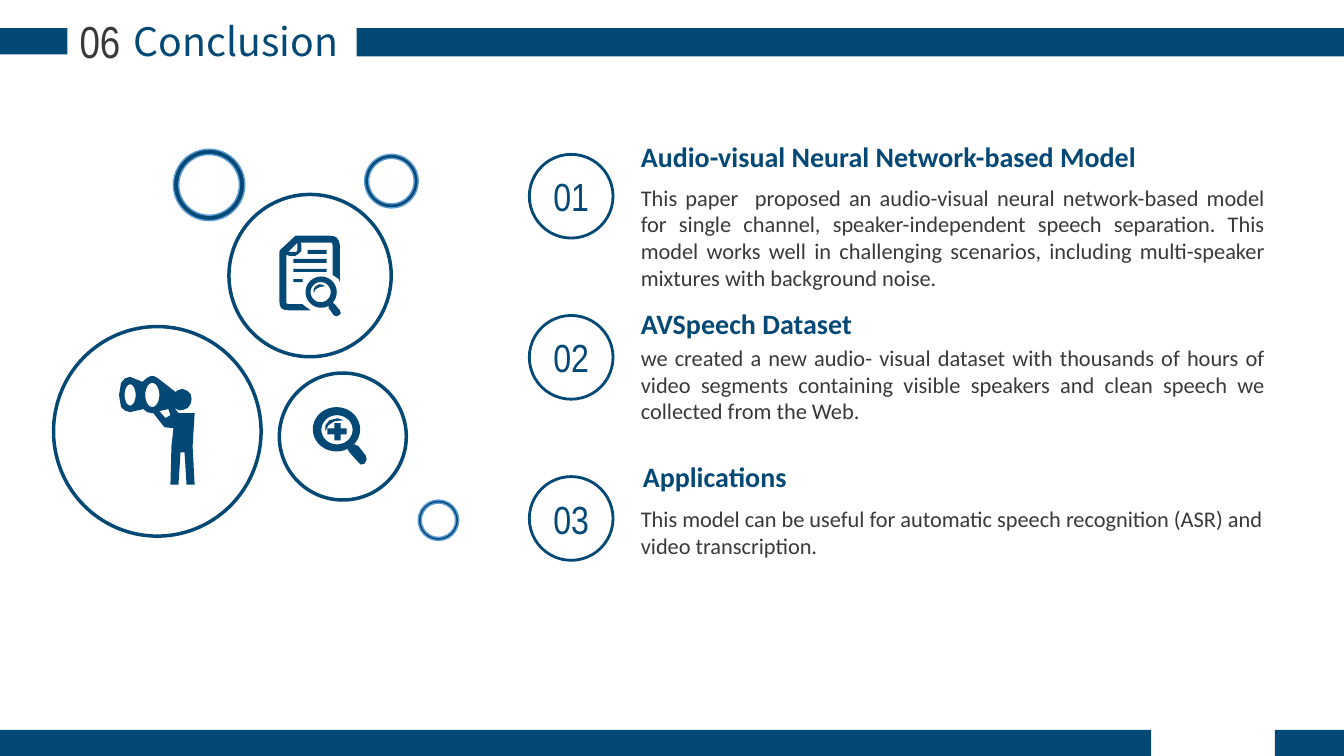
from dataclasses import dataclass
from math import cos, pi, sin

from pptx import Presentation
from pptx.dml.color import RGBColor
from pptx.enum.shapes import MSO_SHAPE as Shape
from pptx.enum.text import MSO_ANCHOR as Anchor, MSO_AUTO_SIZE as AutoSize, PP_ALIGN as Align
from pptx.util import Cm, Pt

NAVY = RGBColor(0x04, 0x48, 0x75)
SKY = RGBColor(0x5B, 0x9B, 0xD5)
GREY = RGBColor(0x3B, 0x38, 0x38)

TITLE = dict(size=Pt(28), name="Noto Sans CJK SC", bold=False)
SECTION = dict(size=Pt(32), name="Arial Narrow")
NUMBER = dict(size=Pt(28), name="Arial Narrow")
HEADING = dict(size=Pt(20), name="Calibri", bold=True)
BODY = dict(size=Pt(16), name="Calibri")

Points = list[tuple[float, float]]


@dataclass
class Box:
    left: float
    top: float
    width: float
    height: float

    def place(self) -> tuple:
        return Cm(self.left), Cm(self.top), Cm(self.width), Cm(self.height)


@dataclass
class Item:
    heading: str
    heading_box: Box
    body: str
    body_box: Box
    align: Align


@dataclass
class Icon:
    """Outlines in hundredths of 2.54 cm, measured from the icon's corner."""
    ring: Box
    left: float
    top: float
    outlines: list[Points]


def ellipse(cx: float, cy: float, rx: float, ry: float, steps: int = 36) -> Points:
    angles = [2 * pi * i / steps for i in range(steps)]
    return [(cx + rx * cos(a), cy + ry * sin(a)) for a in angles]


def rect(x1: float, y1: float, x2: float, y2: float) -> Points:
    return [(x1, y1), (x2, y1), (x2, y2), (x1, y2)]


BARS = [Box(0, 0.71, 1.7, 0.66), Box(8.99, 0.71, 24.88, 0.71),
        Box(32.13, 18.39, 1.74, 0.66), Box(0, 18.39, 29.01, 0.66)]
DONUTS = [Box(4.37, 3.76, 1.8, 1.8), Box(9.19, 3.89, 1.35, 1.35), Box(10.54, 12.6, 1.02, 1.02)]

WATCHER = [
    [(32, 0), (28, 2), (23, 6), (11, 1), (6, 2.5), (2, 7), (0, 19), (2, 31), (6, 34.5),
     (11, 36), (24, 33), (28, 36), (32, 37), (34, 37), (45, 51), (54, 52), (52, 70),
     (51, 108), (59, 108), (61, 76), (65, 76), (67, 108), (75, 108), (73, 70), (75, 37),
     (59, 37), (55, 32), (59, 34), (63, 34), (68, 32), (71, 28), (72, 23), (71, 18),
     (68, 15), (63, 13), (59, 14), (56, 16), (38, 2), (35, 0.5)],
    [(51, 39), (46, 42), (40, 35), (49, 33)],
    ellipse(11, 19, 5.5, 10.5),
    ellipse(33, 19, 7, 12),
]
DOCUMENT = [
    [(18, 0), (50, 0), (54, 0.5), (57, 2), (59, 5), (60, 9), (60, 46), (59, 43), (53, 39),
     (53, 9), (52, 7), (50, 7), (21, 7), (22, 9), (22, 15), (19, 18), (16, 20), (10, 20),
     (7, 19), (7, 65), (7, 67), (9, 68), (23, 68), (24, 69), (31, 74), (9, 74), (5, 73.5),
     (2, 72), (0.5, 69), (0, 65), (0, 16), (1, 14), (15, 1), (16, 0)],
    [(18, 7), (9, 16), (14, 16), (17, 16), (18, 14), (18, 12)],
    rect(14, 43, 23, 46), rect(14, 33, 47, 36), rect(14, 23, 47, 27), rect(28, 14, 47, 18),
    ellipse(41.5, 56, 15.5, 15.5),
    ellipse(41, 56, 10, 10),
    [(34, 57), (36, 53), (40, 51), (46, 50), (40, 48), (36, 50), (34, 53)],
    [(49, 70), (49, 72), (54, 79), (57, 80), (59, 79), (61, 77), (60, 74), (55, 68), (53, 66.5)],
]
MAGNIFIER = [
    ellipse(24, 22, 23.5, 22),
    ellipse(24.5, 22.5, 15.5, 14.5),
    [(22, 33), (28, 33), (28, 27), (34, 27), (34, 21), (28, 21),
     (28, 16), (22, 16), (22, 21), (15, 21), (15, 27), (22, 27)],
    [(13, 24), (16, 18), (22, 14), (31, 13), (25, 11), (17, 13), (13, 18)],
    [(42, 37), (46, 39), (53, 48), (54, 52), (52, 56), (48, 57), (45, 54), (37, 45), (35, 42)],
]
ICONS = [Icon(Box(1.35, 8.23, 5.23, 5.28), 3, 9.47, WATCHER),
         Icon(Box(5.77, 4.9, 4.09, 4.09), 7.04, 5.94, DOCUMENT),
         Icon(Box(7.04, 9.4, 3.2, 3.2), 7.87, 10.26, MAGNIFIER)]

ITEMS = [
    Item("Audio-visual Neural Network-based Model", Box(15.9, 3.4, 13.82, 1.12),
         "This paper  proposed an audio-visual neural network-based model for single channel, "
         "speaker-independent speech separation. This model works well in challenging scenarios, "
         "including multi-speaker mixtures with background noise.",
         Box(15.9, 4.52, 16.23, 2.97), Align.JUSTIFY),
    Item("AVSpeech Dataset", Box(15.9, 7.59, 8.36, 1.12),
         "we created a new audio- visual dataset with thousands of hours of video segments "
         "containing visible speakers and clean speech we collected from the Web.",
         Box(15.9, 8.56, 16.23, 2.29), Align.JUSTIFY),
    Item("Applications", Box(15.95, 11.46, 8.64, 1.12),
         "This model can be useful for automatic speech recognition (ASR) and video transcription.",
         Box(15.9, 12.62, 16.81, 1.6), Align.LEFT),
]
NUMBER_TOP, NUMBER_PITCH = 3.89, 4.06


def write(shape, text: str, font: dict, color: RGBColor, align: Align = Align.LEFT,
          frame: dict | None = None, spacing: Pt | None = None) -> None:
    tf = shape.text_frame
    settings = dict(word_wrap=True, auto_size=AutoSize.NONE) | (frame or {})
    p = tf.paragraphs[0]
    r = p.add_run()
    r.text = text
    for target, values in ((tf, settings), (p, dict(alignment=align, line_spacing=spacing)),
                           (r.font, font)):
        for name, value in values.items():
            setattr(target, name, value)
    r.font.color.rgb = color


def paint(shape, fill: RGBColor | None, line: RGBColor | None = None, width: float = 1):
    shape.shadow.inherit = False
    if fill is None:
        shape.fill.background()
    else:
        shape.fill.solid()
        shape.fill.fore_color.rgb = fill
    if line is None:
        shape.line.fill.background()
    else:
        shape.line.color.rgb = line
        shape.line.width = Pt(width)
    return shape


def draw_icon(s, icon: Icon) -> None:
    paint(s.shapes.add_shape(Shape.OVAL, *icon.ring.place()), None, NAVY, 2.5)
    fine = [[(x * 100, y * 100) for x, y in outline] for outline in icon.outlines]
    builder = s.shapes.build_freeform(*fine[0][0], scale=Cm(2.54) / 10000)
    builder.add_line_segments(fine[0][1:])
    for outline in fine[1:]:
        builder.move_to(*outline[0])
        builder.add_line_segments(outline[1:])
    paint(builder.convert_to_shape(Cm(icon.left), Cm(icon.top)), NAVY)


def draw_item(s, index: int, item: Item) -> None:
    circle = Box(13.34, NUMBER_TOP + index * NUMBER_PITCH, 2.11, 2.11)
    sp = paint(s.shapes.add_shape(Shape.OVAL, *circle.place()), None, NAVY, 2)
    write(sp, f"{index + 1:02}", NUMBER, NAVY, Align.CENTER,
          dict(word_wrap=False, vertical_anchor=Anchor.MIDDLE))
    write(s.shapes.add_textbox(*item.heading_box.place()), item.heading, HEADING, NAVY)
    write(s.shapes.add_textbox(*item.body_box.place()), item.body, BODY, GREY,
          item.align, spacing=Pt(19))


def main() -> None:
    prs = Presentation()
    prs.slide_width, prs.slide_height = Cm(33.87), Cm(19.05)
    s = prs.slides.add_slide(prs.slide_layouts[5])
    for bar in BARS:
        paint(s.shapes.add_shape(Shape.RECTANGLE, *bar.place()), NAVY)

    title = s.shapes.title
    title.left, title.top, title.width, title.height = Box(3.12, 0.3, 5.8, 1.45).place()
    write(title, "Conclusion", TITLE, NAVY, frame=dict(vertical_anchor=Anchor.MIDDLE))
    write(s.shapes.add_textbox(*Box(1.52, 0.23, 2, 1.63).place()), "06", SECTION, GREY,
          Align.CENTER)

    for donut in DONUTS:
        sp = paint(s.shapes.add_shape(Shape.DONUT, *donut.place()), NAVY, SKY)
        sp.adjustments[0] = 0.075
    for icon in ICONS:
        draw_icon(s, icon)
    for index, item in enumerate(ITEMS):
        draw_item(s, index, item)
    prs.save("out.pptx")


if __name__ == "__main__":
    main()
